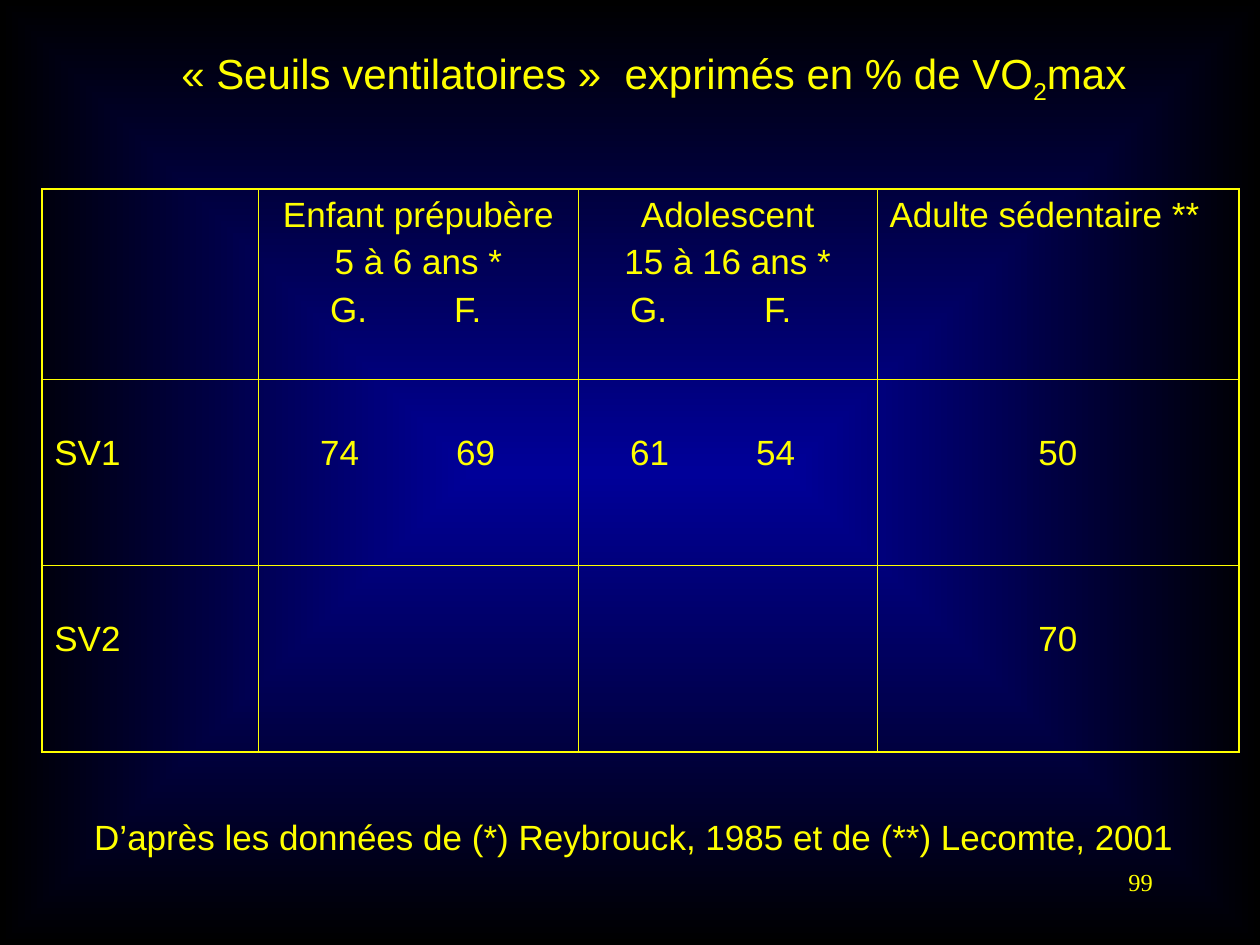
from dataclasses import dataclass

from lxml.etree import SubElement
from pptx import Presentation
from pptx.dml.color import RGBColor
from pptx.enum.text import MSO_ANCHOR, MSO_AUTO_SIZE, PP_ALIGN
from pptx.oxml.ns import qn
from pptx.util import Cm, Pt


@dataclass(frozen=True)
class Theme:
    ink: RGBColor = RGBColor(0xFF, 0xFF, 0x00)
    glow: RGBColor = RGBColor(0x00, 0x00, 0x99)
    edge: RGBColor = RGBColor(0x00, 0x00, 0x00)
    font: str = "Arial"
    number_font: str = "Times New Roman"
    title_size: float = 24
    body_size: float = 20
    number_size: float = 14
    line_gap: float = 5
    outer_line: float = 1.08
    inner_line: float = 0.45


@dataclass(frozen=True)
class Line:
    text: str
    align: PP_ALIGN = PP_ALIGN.LEFT
    tabs: tuple[float, ...] = ()  # centimetres


@dataclass(frozen=True)
class Entry:
    lines: tuple[Line, ...] = ()
    top: float = 0.13  # centimetres


THEME = Theme()


def add_run(paragraph, text: str, size: float, font: str = THEME.font):
    run = paragraph.add_run()
    run.text = text
    run.font.size = Pt(size)
    run.font.name = font
    run.font.bold = False
    run.font.color.rgb = THEME.ink
    return run


def add_tabs(paragraph, stops: tuple[float, ...]) -> None:
    tab_list = SubElement(paragraph._p.get_or_add_pPr(), qn("a:tabLst"))
    for stop in stops:
        SubElement(tab_list, qn("a:tab"), pos=str(Cm(stop)), algn="l")


def paint_background(slide) -> None:
    fill = slide.background.fill
    fill.gradient()
    for stop, color in zip(fill.gradient_stops, (THEME.glow, THEME.edge)):
        stop.color.rgb = color
    # Rectangular gradient spreading from the centre
    gradient = slide._element.find(".//" + qn("a:gradFill"))
    gradient.remove(gradient.find(qn("a:lin")))
    path = SubElement(gradient, qn("a:path"), path="rect")
    SubElement(path, qn("a:fillToRect"), l="50000", t="50000", r="50000", b="50000")


def draw_borders(cell, outer_sides: dict[str, bool]) -> None:
    properties = cell._tc.get_or_add_tcPr()
    for side, is_outer in outer_sides.items():
        width = THEME.outer_line if is_outer else THEME.inner_line
        border = SubElement(properties, qn(f"a:ln{side}"), w=str(Pt(width)))
        fill = SubElement(border, qn("a:solidFill"))
        SubElement(fill, qn("a:srgbClr"), val=str(THEME.ink))
    SubElement(properties, qn("a:noFill"))


def fill_cell(cell, entry: Entry) -> None:
    cell.margin_top = Cm(entry.top)
    frame = cell.text_frame
    for index, line in enumerate(entry.lines):
        paragraph = frame.add_paragraph() if index else frame.paragraphs[0]
        paragraph.alignment = line.align
        if index:
            paragraph.space_before = Pt(THEME.line_gap)
        if line.tabs:
            add_tabs(paragraph, line.tabs)
        add_run(paragraph, line.text, THEME.body_size)


def add_threshold_table(slide, entries: list[list[Entry]]) -> None:
    widths, heights = (4.37, 6.45, 6.02, 7.29), (3.83, 3.76, 3.76)
    table = slide.shapes.add_table(
        len(heights), len(widths), Cm(0.84), Cm(3.81), Cm(sum(widths)), Cm(sum(heights))
    ).table
    table.first_row = table.horz_banding = False
    for column, width in zip(table.columns, widths):
        column.width = Cm(width)
    for r, (row, height) in enumerate(zip(table.rows, heights)):
        row.height = Cm(height)
        for c, cell in enumerate(row.cells):
            fill_cell(cell, entries[r][c])
            draw_borders(cell, {
                "L": c == 0,
                "R": c == len(widths) - 1,
                "T": r == 0,
                "B": r == len(heights) - 1,
            })


def add_label(slide, box: tuple[float, ...], text: str, size: float, font: str,
              align: PP_ALIGN, wrap: bool) -> None:
    frame = slide.shapes.add_textbox(*map(Cm, box)).text_frame
    frame.word_wrap = wrap
    paragraph = frame.paragraphs[0]
    paragraph.alignment = align
    add_run(paragraph, text, size, font)


def set_title(slide) -> None:
    title = slide.shapes.title
    title.left, title.top, title.width, title.height = map(Cm, (3.4, 0.84, 19.56, 1.42))
    frame = title.text_frame
    frame.word_wrap = False
    frame.auto_size = MSO_AUTO_SIZE.NONE
    frame.vertical_anchor = MSO_ANCHOR.TOP
    paragraph = frame.paragraphs[0]
    paragraph.alignment = PP_ALIGN.LEFT
    add_run(paragraph, "« Seuils ventilatoires »  exprimés en % de VO", THEME.title_size)
    subscript = add_run(paragraph, "2", THEME.title_size)
    subscript._r.get_or_add_rPr().set("baseline", "-25000")
    add_run(paragraph, "max", THEME.title_size)


def group_heading(name: str, ages: str, tabs: tuple[float, ...]) -> Entry:
    return Entry((
        Line(name, PP_ALIGN.CENTER),
        Line(ages, PP_ALIGN.CENTER),
        Line("\tG.\tF.", tabs=tabs),
    ))


def value(text: str, align: PP_ALIGN = PP_ALIGN.LEFT, tabs: tuple[float, ...] = ()) -> Entry:
    return Entry((Line(text, align, tabs),), top=1.1)


def main() -> None:
    presentation = Presentation()
    presentation.slide_width, presentation.slide_height = Cm(25.4), Cm(19.05)
    slide = presentation.slides.add_slide(presentation.slide_layouts[5])
    paint_background(slide)
    set_title(slide)

    # Ventilatory thresholds by age group, boys (G.) and girls (F.)
    add_threshold_table(slide, [
        [
            Entry(),
            group_heading("Enfant prépubère", "5 à 6 ans *", (1.19, 3.69)),
            group_heading("Adolescent", "15 à 16 ans *", (0.79, 3.49)),
            Entry((Line("Adulte sédentaire **"),)),
        ],
        [
            value("SV1"),
            value("\t74\t69", tabs=(0.99, 3.73)),
            value("\t61\t54", tabs=(0.79, 3.33)),
            value("50", PP_ALIGN.CENTER),
        ],
        [value("SV2"), Entry(), Entry(), value("70", PP_ALIGN.CENTER)],
    ])

    # Source and slide number
    add_label(slide, (1.65, 16.31, 22.28, 1.12),
              "D’après les données de (*) Reybrouck, 1985 et de (**) Lecomte, 2001",
              THEME.body_size, THEME.font, PP_ALIGN.LEFT, False)
    add_label(slide, (18.21, 17.35, 5.28, 1.27), "99",
              THEME.number_size, THEME.number_font, PP_ALIGN.RIGHT, True)

    presentation.save("out.pptx")


if __name__ == "__main__":
    main()
